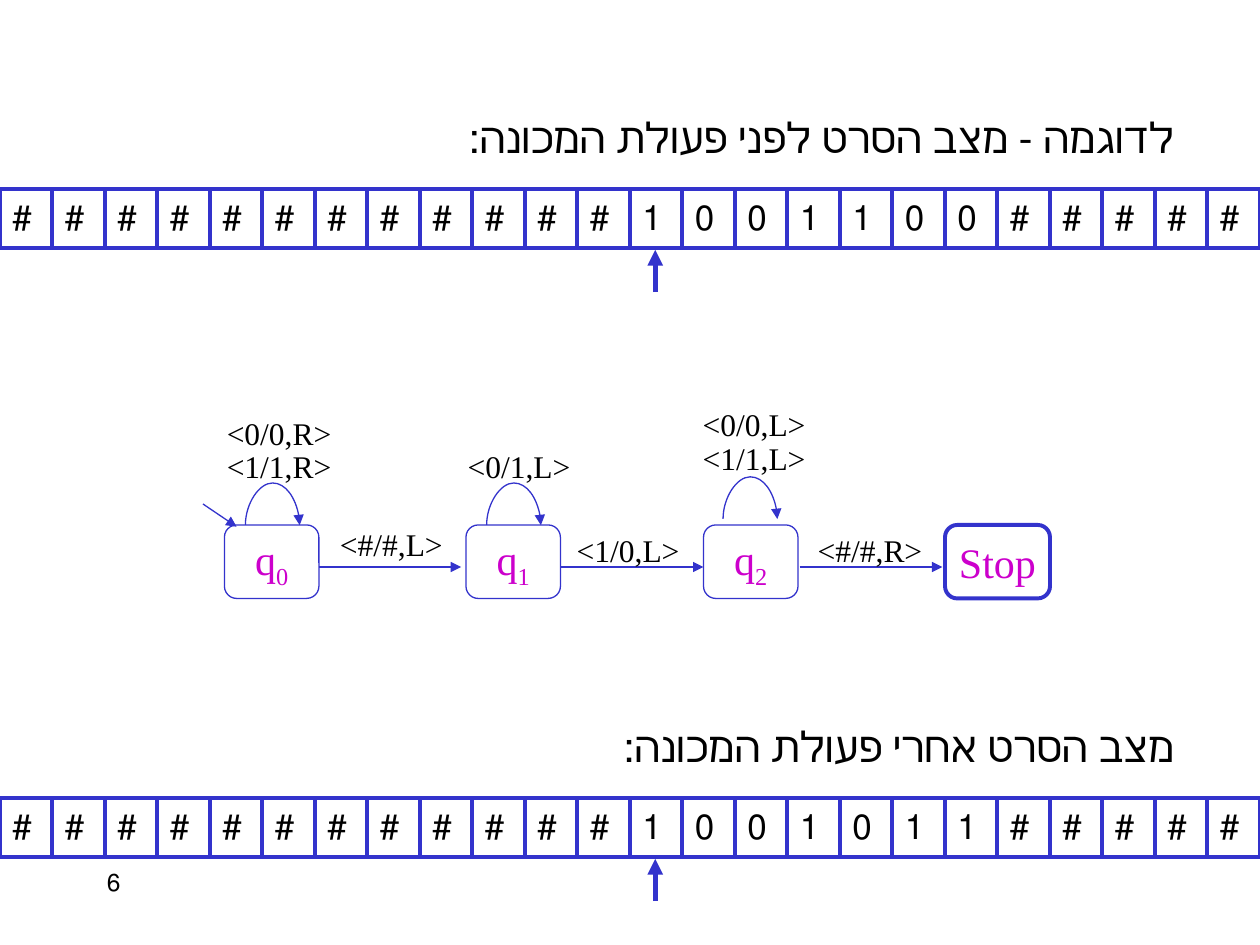
from dataclasses import dataclass

from lxml.etree import SubElement
from pptx import Presentation
from pptx.dml.color import RGBColor
from pptx.enum.shapes import MSO_CONNECTOR as Connector, MSO_SHAPE as Preset
from pptx.enum.text import MSO_ANCHOR as Anchor, PP_ALIGN as Align
from pptx.oxml.ns import qn
from pptx.util import Pt


@dataclass(frozen=True)
class Theme:
    font: str = "Times New Roman"
    ink: str = "000000"
    paper: str = "FFFFFF"
    outline: str = "3333CC"
    state: str = "CC00CC"
    heading_size: float = 24
    cell_size: float = 20
    label_size: float = 18
    number_size: float = 14
    thin: float = 0.75
    medium: float = 2.25
    thick: float = 3


@dataclass(frozen=True)
class Run:
    text: str
    size: float
    color: str
    baseline: int = 0


@dataclass(frozen=True)
class Tape:
    heading: str
    heading_top: float
    top: float
    symbols: str


@dataclass(frozen=True)
class State:
    name: str
    index: str
    left: float
    width: float
    weight: float


@dataclass(frozen=True)
class Label:
    text: str
    left: float
    top: float


@dataclass(frozen=True)
class Arrow:
    x1: float
    y1: float
    x2: float
    y2: float
    weight: float


@dataclass(frozen=True)
class Loop:
    left: float
    base: float


THEME = Theme()
CELL_WIDTH, CELL_HEIGHT = 30, 33.6
HEAD_X = 374.4
STATE_TOP, STATE_HEIGHT = 300, 42
ARROW_Y = 324
LOOP_SPAN, LOOP_RISE, LOOP_DEPTH = 31, 22, 0.13

TAPES = (
    Tape("לדוגמה - מצב הסרט לפני פעולת המכונה:", 60, 108, "#" * 12 + "1001100" + "#" * 5),
    Tape("מצב הסרט אחרי פעולת המכונה:", 408, 456, "#" * 12 + "1001011" + "#" * 5),
)
STATES = (
    State("q", "0", 128.25, 54, THEME.thin),
    State("q", "1", 266.25, 54, THEME.thin),
    State("q", "2", 402, 54, THEME.thin),
    State("Stop", "", 540, 60, THEME.medium),
)
LABELS = (
    Label("<0/0,R>", 122.5, 226.8),
    Label("<1/1,R>", 122.5, 246),
    Label("<#/#,L>", 187.2, 290.4),
    Label("<0/1,L>", 260.2, 246),
    Label("<1/0,L>", 322.5, 294),
    Label("<0/0,L>", 394.5, 222),
    Label("<1/1,L>", 394.5, 241.2),
    Label("<#/#,R>", 460.2, 294),
)
ARROWS = (
    Arrow(116, 288, 135.2, 301, THEME.thin),
    Arrow(182.25, ARROW_Y, 263.5, ARROW_Y, THEME.thin),
    Arrow(320.25, ARROW_Y, 402, ARROW_Y, THEME.thin),
    Arrow(457, ARROW_Y, 538.5, ARROW_Y, THEME.thin),
)
LOOPS = (Loop(140.25, 300), Loop(278.1, 300), Loop(413.2, 296.5))


def write(shape, runs: list[Run], align: Align = Align.LEFT, rtl: bool = False) -> None:
    paragraph = shape.text_frame.paragraphs[0]
    paragraph.alignment = align
    if rtl:
        paragraph._p.get_or_add_pPr().set("rtl", "1")
    for item in runs:
        run = paragraph.add_run()
        run.text = item.text
        run.font.name = THEME.font
        run.font.size = Pt(item.size)
        run.font.color.rgb = RGBColor.from_string(item.color)
        if item.baseline:
            run._r.get_or_add_rPr().set("baseline", str(item.baseline * 1000))


def add_text(slide, left: float, top: float, width: float, runs: list[Run],
             align: Align = Align.LEFT, rtl: bool = False) -> None:
    shape = slide.shapes.add_textbox(Pt(left), Pt(top), Pt(width), Pt(36))
    shape.text_frame.word_wrap = True
    write(shape, runs, align, rtl)


def add_box(slide, preset: Preset, left: float, top: float, width: float, height: float, weight: float):
    shape = slide.shapes.add_shape(preset, Pt(left), Pt(top), Pt(width), Pt(height))
    shape.shadow.inherit = False
    shape.fill.solid()
    shape.fill.fore_color.rgb = RGBColor.from_string(THEME.paper)
    shape.line.color.rgb = RGBColor.from_string(THEME.outline)
    shape.line.width = Pt(weight)
    return shape


def add_arrow(slide, arrow: Arrow, kind: Connector = Connector.STRAIGHT):
    connector = slide.shapes.add_connector(
        kind, Pt(arrow.x1), Pt(arrow.y1), Pt(arrow.x2), Pt(arrow.y2))
    connector.line.color.rgb = RGBColor.from_string(THEME.outline)
    connector.line.width = Pt(arrow.weight)
    SubElement(connector.line._get_or_add_ln(), qn("a:tailEnd"), type="triangle")
    SubElement(connector._element.spPr, qn("a:effectLst"))
    return connector


def add_loop(slide, loop: Loop) -> None:
    left = loop.left + (LOOP_SPAN - LOOP_DEPTH) / 2
    top = loop.base - LOOP_SPAN / 2
    arrow = Arrow(left, top, left + LOOP_DEPTH, top + LOOP_SPAN, THEME.thin)
    properties = add_arrow(slide, arrow, Connector.CURVE)._element.spPr
    frame = properties.find(qn("a:xfrm"))
    frame.set("rot", "5400000")
    frame.set("flipV", "1")
    adjustments = properties.find(qn("a:prstGeom")).find(qn("a:avLst"))
    bend = round(-LOOP_RISE / LOOP_DEPTH * 100000)
    SubElement(adjustments, qn("a:gd"), name="adj1", fmla=f"val {bend}")


def add_tape(slide, tape: Tape) -> None:
    heading = Run(tape.heading, THEME.heading_size, THEME.ink)
    add_text(slide, 6, tape.heading_top, 672, [heading], Align.RIGHT, True)
    add_arrow(slide, Arrow(HEAD_X, tape.top + 59, HEAD_X, tape.top + 34.8, THEME.thick))
    for column, symbol in enumerate(tape.symbols):
        cell = add_box(slide, Preset.RECTANGLE, column * CELL_WIDTH, tape.top,
                       CELL_WIDTH, CELL_HEIGHT, THEME.medium)
        cell.text_frame.vertical_anchor = Anchor.TOP
        cell.text_frame.word_wrap = True
        write(cell, [Run(symbol, THEME.cell_size, THEME.ink)], rtl=True)


def add_state(slide, state: State) -> None:
    shape = add_box(slide, Preset.ROUNDED_RECTANGLE, state.left, STATE_TOP,
                    state.width, STATE_HEIGHT, state.weight)
    shape.text_frame.vertical_anchor = Anchor.MIDDLE
    shape.text_frame.word_wrap = False
    runs = [Run(state.name, THEME.heading_size, THEME.state)]
    if state.index:
        runs.append(Run(state.index, THEME.heading_size, THEME.state, -25))
    write(shape, runs, Align.CENTER, True)


def build() -> None:
    presentation = Presentation()
    presentation.slide_width, presentation.slide_height = Pt(720), Pt(540)
    slide = presentation.slides.add_slide(presentation.slide_layouts[6])
    add_text(slide, 54, 492, 150, [Run("6", THEME.number_size, THEME.ink)], rtl=True)
    for tape in TAPES:
        add_tape(slide, tape)
    for state in STATES:
        add_state(slide, state)
    for arrow in ARROWS:
        add_arrow(slide, arrow)
    for loop in LOOPS:
        add_loop(slide, loop)
    for label in LABELS:
        add_text(slide, label.left, label.top, 88, [
            Run(label.text, THEME.label_size, THEME.ink),
            Run(" ", THEME.heading_size, THEME.ink),
        ])
    presentation.save("out.pptx")


build()
